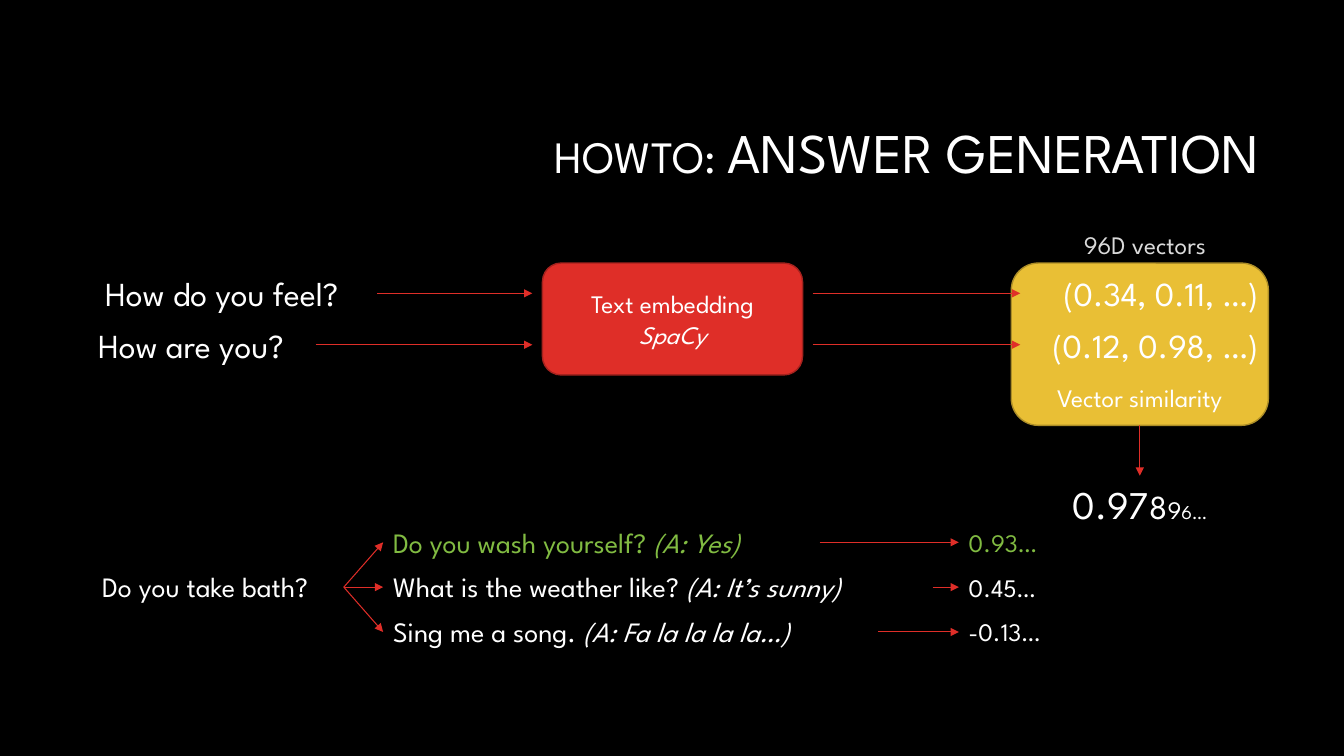
from dataclasses import dataclass

from lxml.etree import SubElement
from pptx import Presentation
from pptx.dml.color import RGBColor
from pptx.enum.shapes import MSO_CONNECTOR, MSO_SHAPE
from pptx.enum.text import MSO_ANCHOR, PP_ALIGN
from pptx.oxml.ns import qn
from pptx.util import Inches, Pt


@dataclass(frozen=True)
class Theme:
    font: str = "League Spartan"
    back: str = "000000"
    white: str = "FFFFFF"
    grey: str = "DADADA"
    red: str = "DF2E28"
    rust: str = "A5221E"
    gold: str = "E9BF35"
    ochre: str = "AC8D27"
    green: str = "81BB42"
    title: int = 40
    lead: int = 32
    score: int = 28
    large: int = 24
    body: int = 20
    label: int = 18
    tiny: int = 14
    edge: float = 1
    thin: float = 0.75


THEME = Theme()
LEFT, MID, RIGHT = PP_ALIGN.LEFT, PP_ALIGN.CENTER, PP_ALIGN.RIGHT


def color(code):
    return RGBColor.from_string(code)


def write(shape, runs, align=MID, anchor=MSO_ANCHOR.TOP, tint=THEME.white, space=None):
    """Fill a shape with one paragraph of (text, size, italic) runs."""
    frame = shape.text_frame
    para = frame.paragraphs[0]
    for item, values in (
        (frame, {"word_wrap": True, "vertical_anchor": anchor}),
        (para, {"alignment": align, "line_spacing": space}),
    ):
        for name, value in values.items():
            setattr(item, name, value)
    for words, size, slant in runs:
        if words == "\n":
            para.add_line_break()
            continue
        run = para.add_run()
        run.text = words
        style = {"name": THEME.font, "size": Pt(size), "italic": slant}
        for name, value in style.items():
            setattr(run.font, name, value)
        run.font.color.rgb = color(tint)


def label(slide, box, runs, **style):
    write(slide.shapes.add_textbox(*map(Inches, box)), runs, **style)


def panel(slide, box, fill, edge, runs, anchor):
    shape = slide.shapes.add_shape(MSO_SHAPE.ROUNDED_RECTANGLE, *map(Inches, box))
    shape.shadow.inherit = False
    shape.fill.solid()
    shape.fill.fore_color.rgb = color(fill)
    shape.line.color.rgb = color(edge)
    shape.line.width = Pt(THEME.edge)
    write(shape, runs, anchor=anchor)


def arrow(slide, start, end):
    link = slide.shapes.add_connector(MSO_CONNECTOR.STRAIGHT, *map(Inches, (*start, *end)))
    link.line.color.rgb = color(THEME.red)
    link.line.width = Pt(THEME.thin)
    SubElement(link.line._get_or_add_ln(), qn("a:tailEnd"), type="triangle")
    SubElement(link._element.spPr, qn("a:effectLst"))


def heading(slide, box):
    runs = [("HOWTO: ", THEME.lead, False), ("ANSWER GENERATION", THEME.title, False)]
    label(slide, box, runs, align=RIGHT, anchor=MSO_ANCHOR.MIDDLE, space=0.9)


def embedding(slide, box):
    """Two questions pass through the embedding and become vectors."""
    left, top, width, height = box
    stage, vector = left + 4.72, left + 9.37
    wide, tall = 2.58, 1.11
    side = width - 9.37
    panel(slide, (vector, top, side, height), THEME.gold, THEME.ochre,
          [("Vector similarity", THEME.label, False)], MSO_ANCHOR.BOTTOM)
    panel(slide, (stage, top, wide, tall), THEME.red, THEME.rust,
          [("Text embedding", THEME.label, False), ("\n", 0, False),
           ("SpaCy", THEME.label, True)], MSO_ANCHOR.MIDDLE)
    rows = (("How do you feel?", 3.08, "(0.34, 0.11, …)"),
            ("How are you?", 2.47, "(0.12, 0.98, …)"))
    for row, (ask, span, numbers) in enumerate(rows):
        y = top + 0.05 + 0.51 * row
        line = y + 0.25
        label(slide, (left, y, span, 0.5), [(ask, THEME.large, False)])
        label(slide, (vector + 0.09, y, side - 0.09, 0.5),
              [(numbers, THEME.large, False)], align=RIGHT)
        arrow(slide, (left + span, line), (stage - 0.1, line))
        arrow(slide, (stage + wide + 0.1, line), (vector + 0.09, line))
    label(slide, (vector + 0.29, top - 0.38, 2.07, 0.4),
          [("96D vectors", THEME.label, False)], tint=THEME.grey)


def similarity(slide, box):
    """An arrow leads down to the score, whose digits shrink."""
    left, top, width, height = box
    center = left + width / 2
    arrow(slide, (center, top), (center, top + 0.5))
    parts = (("0.97", THEME.score), ("8", THEME.large),
             ("9", THEME.label), ("6…", THEME.tiny))
    label(slide, (left, top + 0.5, width, height - 0.5),
          [(digits, size, False) for digits, size in parts])


def matches(slide, box):
    """One question fans out to known questions and their scores."""
    left, top, width, height = box
    ask, known, score = 2.75, left + 3.14, left + 8.85
    step, tall = 0.445, 0.44
    middle = top + step
    label(slide, (left, middle, ask, tall), [("Do you take bath?", THEME.body, False)])
    rows = (("Do you wash yourself? ", "(A: Yes)", 4.33, "0.93…", THEME.green),
            ("What is the weather like? ", "(A: It’s sunny)", 5.45, "0.45…", THEME.white),
            ("Sing me a song. ", "(A: Fa la la la la…)", 4.91, "-0.13…", THEME.white))
    for row, (words, reply, span, value, tint) in enumerate(rows):
        y = top + step * row
        line = y + tall / 2
        label(slide, (known, y, span, tall),
              [(words, THEME.body, False), (reply, THEME.body, True)],
              align=LEFT, tint=tint)
        label(slide, (score, y + 0.02, left + width - score, 0.4),
              [(value, THEME.label, False)], align=LEFT, tint=tint)
        arrow(slide, (left + ask, middle + tall / 2), (known, line))
        arrow(slide, (known + span, line), (score, line))


def main():
    deck = Presentation()
    deck.slide_width, deck.slide_height = Inches(13.33), Inches(7.5)
    slide = deck.slides.add_slide(deck.slide_layouts[6])
    slide.background.fill.solid()
    slide.background.fill.fore_color.rgb = color(THEME.back)
    heading(slide, (3.17, 0.84, 9.42, 1.41))
    embedding(slide, (0.66, 2.61, 11.92, 1.61))
    similarity(slide, (10.03, 4.22, 2.55, 1.07))
    matches(slide, (0.66, 5.16, 10.48, 1.33))
    deck.save("out.pptx")


if __name__ == "__main__":
    main()
